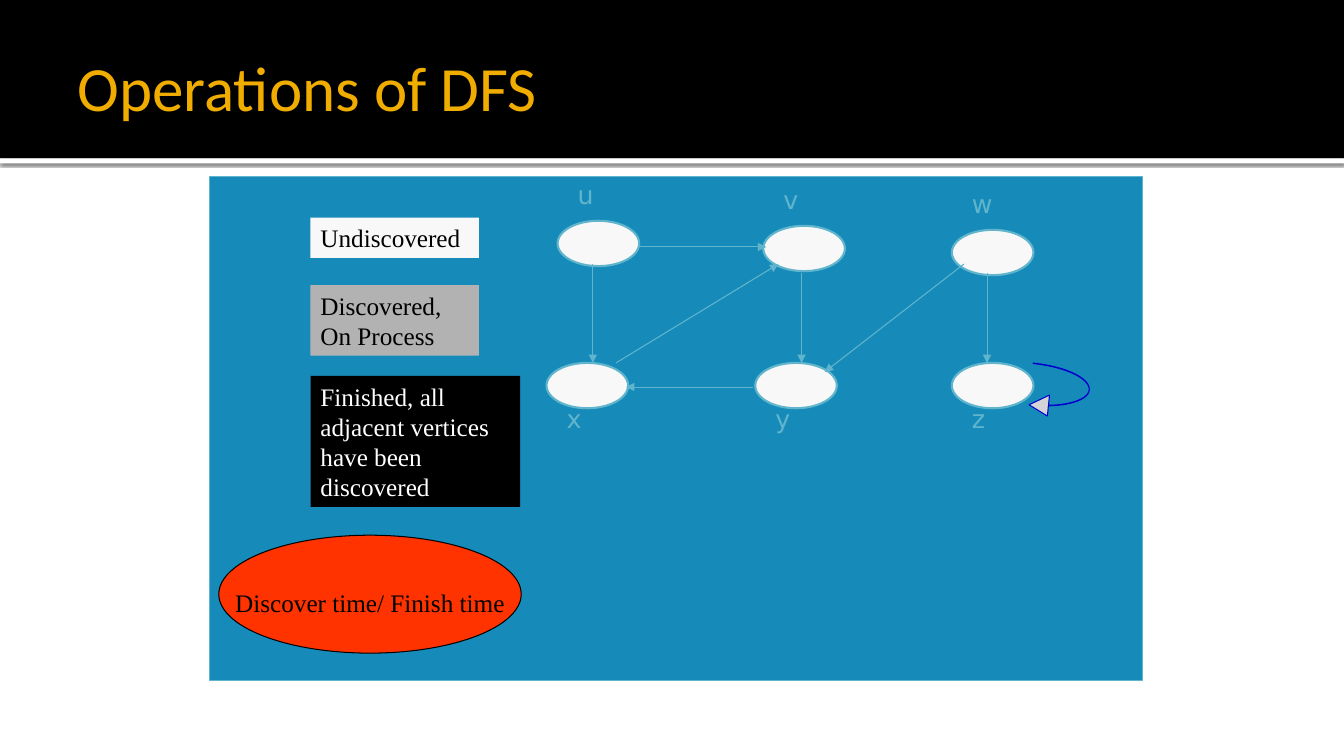
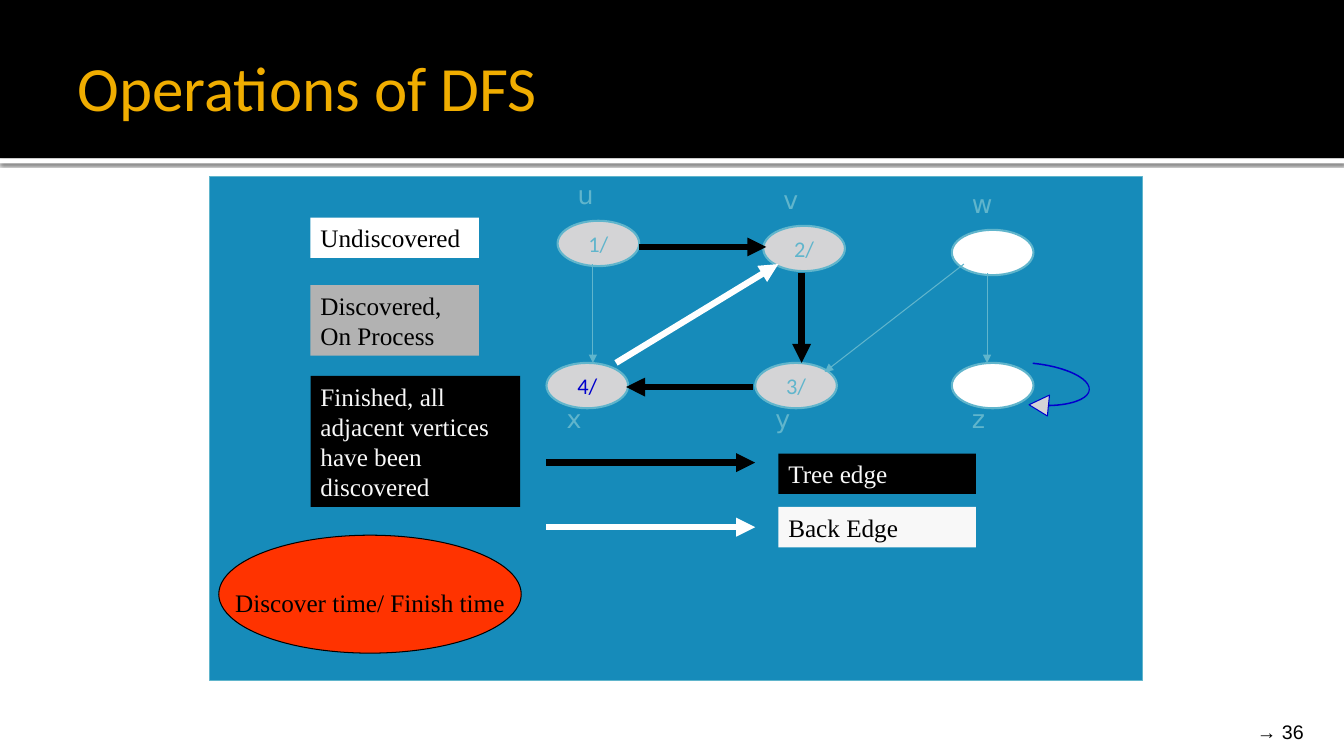
import pptx
import pptx.util
import pptx.dml.color
import pptx.enum.shapes
import pptx.enum.text
import pptx.oxml
import pptx.oxml.ns

RGBColor = pptx.dml.color.RGBColor
Inches = pptx.util.Inches
Pt = pptx.util.Pt
MSO_SHAPE = pptx.enum.shapes.MSO_SHAPE
PP_ALIGN = pptx.enum.text.PP_ALIGN
MSO_ANCHOR = pptx.enum.text.MSO_ANCHOR

BLACK = RGBColor(0x00, 0x00, 0x00)
WHITE = RGBColor(0xFF, 0xFF, 0xFF)
OFF_WHITE = RGBColor(0xF8, 0xF8, 0xF8)
GOLD = RGBColor(0xF0, 0xAD, 0x00)
PANEL_BLUE = RGBColor(0x16, 0x8B, 0xBA)
LIGHT_BLUE = RGBColor(0x60, 0xB5, 0xCC)
DEEP_BLUE = RGBColor(0x00, 0x00, 0xCC)
SILVER = RGBColor(0xD4, 0xD4, 0xD6)
GRAY = RGBColor(0xB2, 0xB2, 0xB2)
RED = RGBColor(0xFF, 0x33, 0x00)

SERIF = "Times New Roman"
WIDTH, HEIGHT = 13.33, 7.5
BAND_HEIGHT = 1.57
NODE_WIDTH, NODE_HEIGHT = 0.81, 0.45
LABEL_SHIFT, LABEL_ABOVE, LABEL_BELOW = 0.02, -0.46, 0.35
THIN, THICK = 0.75, 4.5

NODES = {
    "u": (5.53, 2.19, LABEL_ABOVE),
    "v": (7.57, 2.24, LABEL_ABOVE),
    "w": (9.44, 2.28, LABEL_ABOVE),
    "x": (5.42, 3.6, LABEL_BELOW),
    "y": (7.49, 3.6, LABEL_BELOW),
    "z": (9.44, 3.6, LABEL_BELOW),
}
EDGES = {
    "uv": ((6.34, 2.45), (7.6, 2.45)),
    "yx": ((7.47, 3.84), (6.21, 3.84)),
    "vy": ((7.95, 2.71), (7.95, 3.6)),
    "ux": ((5.88, 2.62), (5.88, 3.6)),
    "wz": ((9.79, 2.71), (9.79, 3.6)),
    "wy": ((9.56, 2.62), (8.18, 3.69)),
    "xv": ((6.11, 3.6), (7.72, 2.62)),
}
STATES = [
    ("Undiscovered", (3.08, 2.16, 1.67, 0.4)),
    ("Discovered, On Process", (3.08, 2.83, 1.67, 0.7)),
    ("Finished, all adjacent vertices have been discovered", (3.08, 3.73, 2.08, 1.3)),
]
EDGE_KEYS = [
    ("Tree edge", 4.5, 4.59, BLACK, BLACK, OFF_WHITE),
    ("Back Edge", 5.03, 5.23, WHITE, OFF_WHITE, BLACK),
]
SLIDES = [
    {
        "title": "Operations of DFS",
        "undiscovered": OFF_WHITE,
        "finished_text": WHITE,
        "times": {},
        "strong_edges": {},
        "edge_keys": [],
        "footer": None,
    },
    {
        "title": "Operations of DFS",
        "undiscovered": WHITE,
        "finished_text": OFF_WHITE,
        "times": {
            "u": ("1/", LIGHT_BLUE),
            "v": ("2/", LIGHT_BLUE),
            "y": ("3/", LIGHT_BLUE),
            "x": ("4/", DEEP_BLUE),
        },
        "strong_edges": {"uv": BLACK, "vy": BLACK, "yx": BLACK, "xv": WHITE},
        "edge_keys": EDGE_KEYS,
        "footer": "→ 36",
    },
]


def write_text(shape, text, font=SERIF, size=18, color=BLACK, align=PP_ALIGN.LEFT,
               anchor=MSO_ANCHOR.TOP, wrap=True, insets=(0.1, 0.05, 0.1, 0.05)):
    frame = shape.text_frame
    frame.word_wrap = wrap
    frame.vertical_anchor = anchor
    (frame.margin_left, frame.margin_top,
     frame.margin_right, frame.margin_bottom) = map(Inches, insets)
    paragraph = frame.paragraphs[0]
    paragraph.alignment = align
    run = paragraph.add_run()
    run.text = text
    run.font.name = font
    run.font.size = Pt(size)
    run.font.color.rgb = color


def add_text_box(slide, box, text, **text_format):
    write_text(slide.shapes.add_textbox(*map(Inches, box)), text, **text_format)


def add_block(slide, box, fill, kind=MSO_SHAPE.RECTANGLE, line=None, line_width=THIN):
    shape = slide.shapes.add_shape(kind, *map(Inches, box))
    shape.shadow.inherit = False
    shape.fill.solid()
    shape.fill.fore_color.rgb = fill
    if line is None:
        shape.line.fill.background()
    else:
        shape.line.color.rgb = line
        shape.line.width = Pt(line_width)
    return shape


def add_arrow(slide, start, end, color=LIGHT_BLUE, width=THIN):
    arrow = slide.shapes.add_connector(
        pptx.enum.shapes.MSO_CONNECTOR.STRAIGHT, *map(Inches, start + end))
    arrow.line.color.rgb = color
    arrow.line.width = Pt(width)
    head = pptx.oxml.parse_xml(
        f'<a:tailEnd {pptx.oxml.ns.nsdecls("a")} type="triangle"/>')
    arrow.line._get_or_add_ln().append(head)
    arrow._element.spPr.append(
        pptx.oxml.parse_xml(f'<a:effectLst {pptx.oxml.ns.nsdecls("a")}/>'))


def add_frame(slide, title, footer):
    strip = add_block(slide, (0, BAND_HEIGHT, WIDTH, 0.05), WHITE)
    effects = strip._element.spPr.find(pptx.oxml.ns.qn("a:effectLst"))
    effects.append(pptx.oxml.parse_xml(
        f'<a:outerShdw {pptx.oxml.ns.nsdecls("a")} blurRad="{Pt(2.5)}" '
        f'dist="{Pt(0.8)}" dir="5400000" algn="tl" rotWithShape="0">'
        '<a:srgbClr val="000000"><a:alpha val="60000"/></a:srgbClr></a:outerShdw>'))
    add_block(slide, (0, 0, WIDTH, BAND_HEIGHT), BLACK)
    if footer:
        add_text_box(slide, (11.96, 7.08, 1.07, 0.3), footer, font="Arial", size=14,
                     align=PP_ALIGN.RIGHT, anchor=MSO_ANCHOR.BOTTOM,
                     insets=(0.1, 0.05, 0.1, 0))
    add_block(slide, (2.08, 1.75, 9.25, 5), PANEL_BLUE, line=LIGHT_BLUE)
    add_text_box(slide, (0.67, 0.17, 12, 1.37), title, font="Calibri", size=45,
                 color=GOLD, anchor=MSO_ANCHOR.MIDDLE, insets=(0.1, 0.05, 0.05, 0.05))


def add_graph(slide, undiscovered, times, strong_edges):
    for name, (left, top, label_offset) in NODES.items():
        node = add_block(slide, (left, top, NODE_WIDTH, NODE_HEIGHT),
                         SILVER if name in times else undiscovered,
                         kind=MSO_SHAPE.OVAL, line=LIGHT_BLUE, line_width=1.5)
        if name in times:
            time, color = times[name]
            write_text(node, time, font="Calibri", size=16, color=color, wrap=False,
                       align=PP_ALIGN.CENTER, anchor=MSO_ANCHOR.MIDDLE)
        add_text_box(slide, (left + LABEL_SHIFT, top + label_offset, NODE_WIDTH, 0.4),
                     name, font="DejaVu Sans", color=LIGHT_BLUE,
                     insets=(0.18, 0.05, 0.1, 0.05))
    for name, (start, end) in EDGES.items():
        add_arrow(slide, start, end, color=strong_edges.get(name, LIGHT_BLUE),
                  width=THICK if name in strong_edges else THIN)
    loop = add_block(slide, (10.25, 3.6, 0.52, 0.58), SILVER,
                     kind=MSO_SHAPE.CURVED_DOWN_ARROW, line=DEEP_BLUE)
    loop.rotation = 95.8
    for index, value in enumerate((0.01, 0.4, 0.37)):
        loop.adjustments[index] = value


def add_legend(slide, undiscovered, finished_text, edge_keys):
    colors = [(undiscovered, BLACK), (GRAY, BLACK), (BLACK, finished_text)]
    for (text, box), (fill, color) in zip(STATES, colors):
        write_text(add_block(slide, box, fill), text, color=color)
    for text, top, arrow_height, arrow_color, fill, color in edge_keys:
        add_arrow(slide, (5.42, arrow_height), (7.49, arrow_height), arrow_color, THICK)
        write_text(add_block(slide, (7.72, top, 1.96, 0.4), fill), text, color=color)
    time_key = add_block(slide, (2.17, 5.31, 3, 1.17), RED,
                         kind=MSO_SHAPE.OVAL, line=BLACK)
    write_text(time_key, "Discover time/ Finish time", wrap=False,
               align=PP_ALIGN.CENTER, anchor=MSO_ANCHOR.MIDDLE,
               insets=(0.1, 0.21, 0.1, 0.05))


def main():
    presentation = pptx.Presentation()
    presentation.slide_width = Inches(WIDTH)
    presentation.slide_height = Inches(HEIGHT)
    for content in SLIDES:
        slide = presentation.slides.add_slide(presentation.slide_layouts[6])
        add_frame(slide, content["title"], content["footer"])
        add_graph(slide, content["undiscovered"], content["times"],
                  content["strong_edges"])
        add_legend(slide, content["undiscovered"], content["finished_text"],
                   content["edge_keys"])
    presentation.save("out.pptx")


if __name__ == "__main__":
    main()
